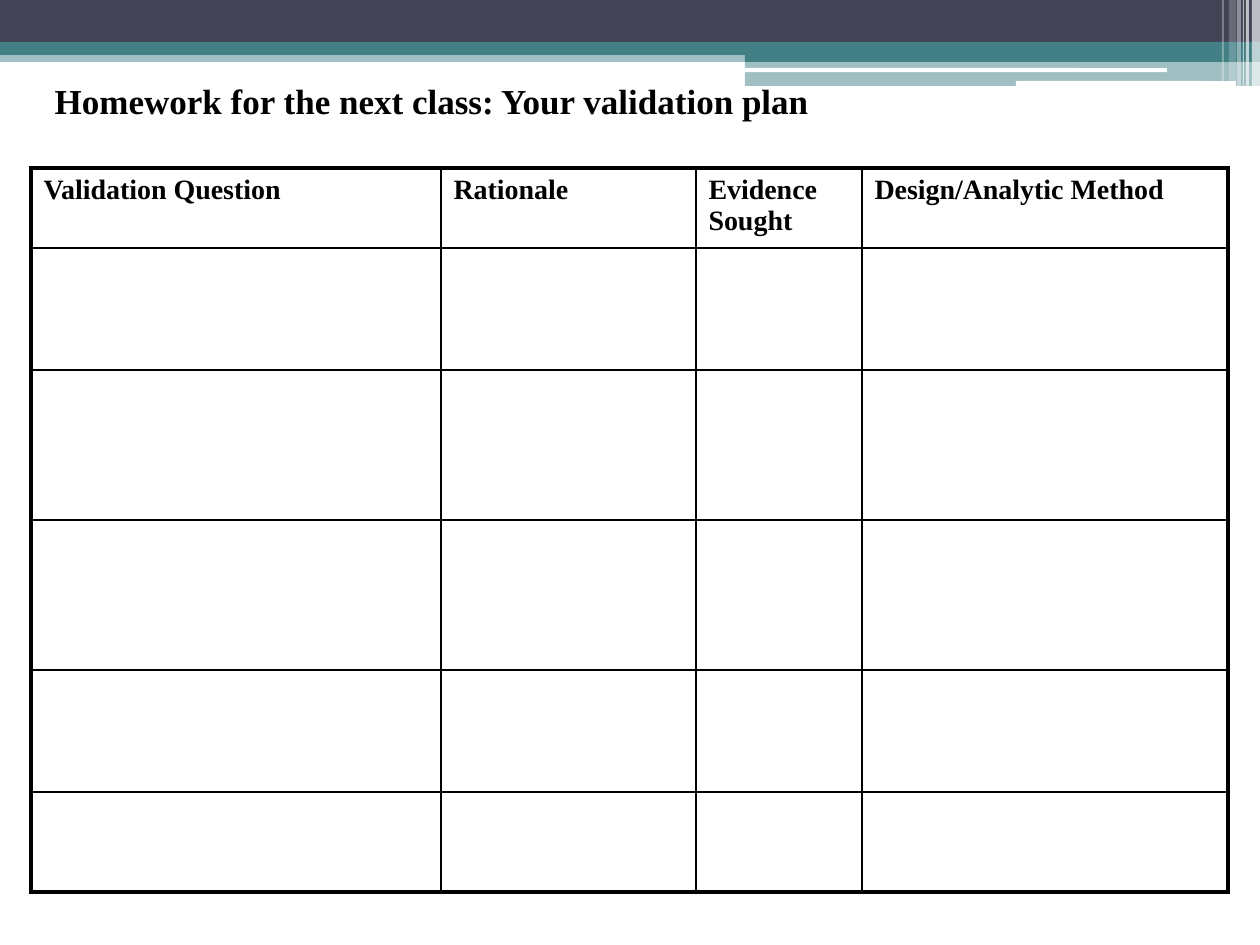
"""Build the validation plan homework slide."""
from lxml.etree import SubElement
from pptx import Presentation
from pptx.dml.color import RGBColor
from pptx.enum.shapes import MSO_SHAPE
from pptx.enum.text import MSO_ANCHOR, PP_ALIGN
from pptx.oxml import parse_xml
from pptx.oxml.ns import nsdecls, qn
from pptx.util import Pt

PX = 914400 // 126
FONT = "Times New Roman"
COLORS = {"navy": "424456", "teal": "438086", "white": "FFFFFF", "black": "000000"}
TITLE = "Homework for the next class: Your validation plan"
TITLE_BOX = (42, 73, 1197, 55)
HEADERS = ["Validation Question", "Rationale", "Evidence Sought", "Design/Analytic Method"]
COL_WIDTHS = [410, 255, 166, 366]
ROW_HEIGHTS = [80, 122, 150, 150, 122, 100]
TABLE_LEFT, TABLE_TOP = 31, 168
OUTER, INNER = 2.25, 1
RECT, ROUND = MSO_SHAPE.RECTANGLE, MSO_SHAPE.ROUNDED_RECTANGLE
BANDS = [
    (RECT, (0, 50, 1260, 12), "teal", 50),
    (RECT, (0, 0, 1260, 42), "navy", 100),
    (RECT, (0, 42, 1260, 13), "teal", 100),
    (RECT, (745, 49, 515, 13), "teal", 100),
    (RECT, (745, 61, 515, 25), "teal", 50),
    (ROUND, (745, 68, 422, 4), "white", 100),
    (ROUND, (1016, 81, 220, 5), "white", 100),
]
STRIPES = [(1252, 8, 86, 65), (1246, 3, 86, 65), (1243, 1, 86, 60),
           (1237, 4, 86, 40), (1229, 7, 81, 20), (1222, 2, 81, 30)]
BANDS += [(RECT, (x, 0, w, h), "white", alpha) for x, w, h, alpha in STRIPES]


def emu(box):
    return [v * PX for v in box]


def rgb(name):
    return RGBColor.from_string(COLORS[name])


def add_band(s, kind, box, color, alpha):
    sp = s.shapes.add_shape(kind, *emu(box))
    sp.shadow.inherit = False
    sp.line.fill.background()
    sp.fill.solid()
    sp.fill.fore_color.rgb = rgb(color)
    if alpha < 100:
        clr = sp.element.spPr.find(qn("a:solidFill"))[0]
        SubElement(clr, qn("a:alpha"), val=str(alpha * 1000))


def style_text(tf, size):
    for p in tf.paragraphs:
        p.alignment = PP_ALIGN.LEFT
        for r in p.runs:
            r.font.name, r.font.size, r.font.bold = FONT, Pt(size), True
            r.font.color.rgb = rgb("black")


def set_borders(cell, widths):
    tcPr = cell._tc.get_or_add_tcPr()
    for i, (side, width) in enumerate(zip("LRTB", widths)):
        tcPr.insert(i, parse_xml(
            f'<a:ln{side} {nsdecls("a")} w="{Pt(width)}"><a:solidFill>'
            f'<a:srgbClr val="{COLORS["black"]}"/></a:solidFill></a:ln{side}>'))


def add_plan(s):
    rows, cols = len(ROW_HEIGHTS), len(COL_WIDTHS)
    box = (TABLE_LEFT, TABLE_TOP, sum(COL_WIDTHS), sum(ROW_HEIGHTS))
    table = s.shapes.add_table(rows, cols, *emu(box)).table
    table.first_row = table.horz_banding = False
    for col, width in zip(table.columns, COL_WIDTHS):
        col.width = width * PX
    for row, height in zip(table.rows, ROW_HEIGHTS):
        row.height = height * PX
    for i in range(rows):
        for j in range(cols):
            cell = table.cell(i, j)
            cell.fill.solid()
            cell.fill.fore_color.rgb = rgb("white")
            edges = (j == 0, j == cols - 1, i == 0, i == rows - 1)
            set_borders(cell, [OUTER if edge else INNER for edge in edges])
    for cell, header in zip(table.rows[0].cells, HEADERS):
        cell.text_frame.text = header
        style_text(cell.text_frame, 16)


def place_title(s):
    title = s.shapes.title
    title.left, title.top, title.width, title.height = emu(TITLE_BOX)
    tf = title.text_frame
    tf.text = TITLE
    tf.word_wrap = True
    tf.vertical_anchor = MSO_ANCHOR.BOTTOM
    style_text(tf, 20)
    title.element.getparent().append(title.element)


prs = Presentation()
prs.slide_width, prs.slide_height = emu((1260, 945))
s = prs.slides.add_slide(prs.slide_layouts[5])
for band in BANDS:
    add_band(s, *band)
add_plan(s)
place_title(s)
prs.save("out.pptx")
